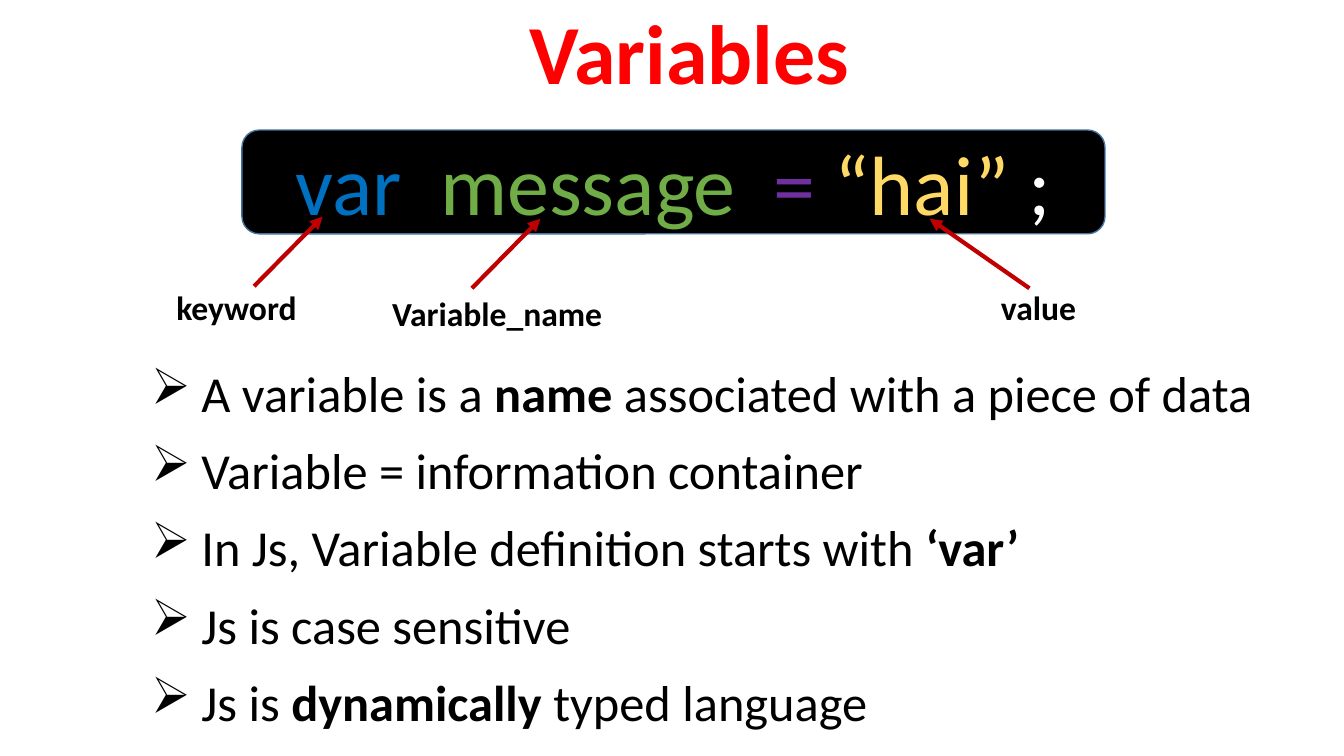
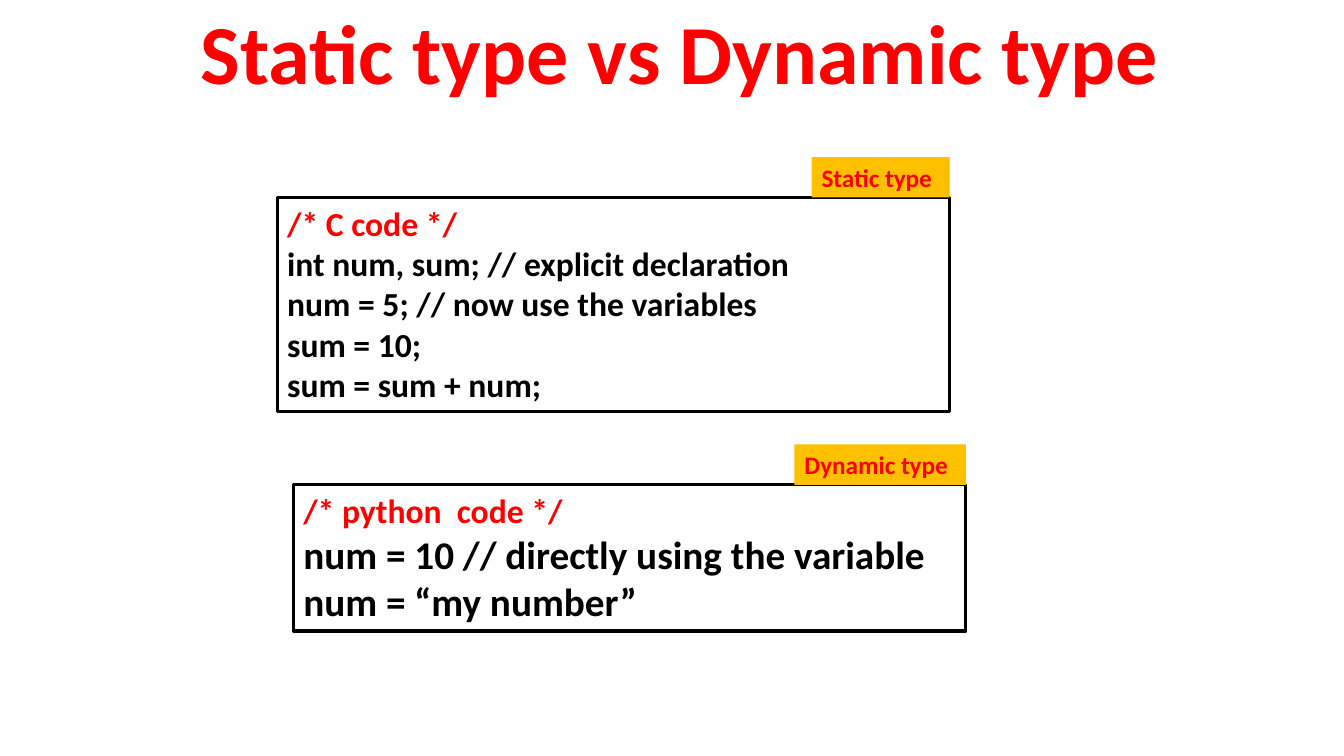
from lxml import etree
from pptx import Presentation
from pptx import util as u
from pptx.dml.color import RGBColor
from pptx.enum import shapes, text
from pptx.oxml.ns import qn

RED = RGBColor(0xFF, 0x00, 0x00)
BLACK = RGBColor(0x00, 0x00, 0x00)
WHITE = RGBColor(0xFF, 0xFF, 0xFF)
BLUE = RGBColor(0x00, 0x70, 0xC0)
GREEN = RGBColor(0x70, 0xAD, 0x47)
PURPLE = RGBColor(0x70, 0x30, 0xA0)
CREAM = RGBColor(0xFF, 0xD9, 0x66)
AMBER = RGBColor(0xFF, 0xC0, 0x00)
EDGE = RGBColor(0x43, 0x73, 0x9E)
ARROW = RGBColor(0xC0, 0x00, 0x00)
FONT = "Calibri"
RECT = shapes.MSO_SHAPE.RECTANGLE
ROUND = shapes.MSO_SHAPE.ROUNDED_RECTANGLE
MID = text.PP_ALIGN.CENTER

# Content: a line is a list of runs, a run is (words, changes of format)
TITLES = ["Variables", "Static type vs Dynamic type "]
STATE = [[("var", {"color": BLUE}), ("  message  ", {"color": GREEN}),
          ("= ", {"color": PURPLE}), ("“hai” ", {"color": CREAM}),
          (";", {"color": WHITE})]]
BOLD = {"bold": True}
FACTS = [
    [("A variable is a ", {}), ("name", BOLD), (" associated with a piece of data", {})],
    "Variable = information container",
    [("In Js, Variable definition starts with ", {}), ("‘var’", BOLD)],
    "Js is case sensitive",
    [("Js is ", {}), ("dynamically", BOLD), (" typed language", {})],
]
# Label, its box, arrow start, arrow end
PARTS = [
    ("keyword", (1.65, 2.8, 1.41, 0.5), (2.52, 2.84), (3.2, 2.15)),
    ("Variable_name", (3.79, 2.86, 2.31, 0.5), (4.68, 2.86), (5.36, 2.17)),
    ("value", (9.83, 2.8, 0.96, 0.5), (10.21, 2.86), (9.22, 2.17)),
]
# Tag, tag width, left, top, height, size of code, heading, code
CODES = [
    ("Static type", 1.37, 2.75, 1.96, 2.12, 24, "/* C code */",
     ["int num, sum; // explicit declaration", "num = 5; // now use the variables",
      "sum = 10;", "sum = sum + num;"]),
    ("Dynamic type", 1.7, 2.91, 4.81, 1.45, 28, "/* python  code */",
     ["num = 10 // directly using the variable", "num = “my number”"]),
]
CODE_W, TAG_H = 6.67, 0.4


def write(shape, lines, size=24, color=BLACK, bold=False, align=text.PP_ALIGN.LEFT,
          anchor=text.MSO_ANCHOR.TOP, wrap=True, grow=False, space=None, after=0,
          bullet=None):
    """Put lines of text into a shape; each run may change the format."""
    frame = shape.text_frame
    frame.word_wrap, frame.vertical_anchor = wrap, anchor
    if grow:
        frame.auto_size = text.MSO_AUTO_SIZE.SHAPE_TO_FIT_TEXT
    for i, line in enumerate(lines):
        para = frame.add_paragraph() if i else frame.paragraphs[0]
        para.alignment, para.space_after = align, u.Pt(after)
        if space:
            para.line_spacing = space
        if bullet:
            props = para._p.get_or_add_pPr()
            props.set("marL", str(u.Inches(0.5)))
            props.set("indent", str(u.Inches(-0.5)))
            etree.SubElement(props, qn("a:buChar")).set("char", bullet)
        for words, change in [(line, {})] if isinstance(line, str) else line:
            look = {"size": size, "color": color, "bold": bold, **change}
            run = para.add_run()
            run.text, run.font.name = words, FONT
            run.font.size, run.font.bold = u.Pt(look["size"]), look["bold"]
            run.font.color.rgb = look["color"]


def label(slide, area, lines, **look):
    write(slide.shapes.add_textbox(*map(u.Inches, area)), lines, **look)


def box(slide, kind, area, lines, fill=None, edge=None, width=1, **look):
    shape = slide.shapes.add_shape(kind, *map(u.Inches, area))
    shape.shadow.inherit = False
    if fill is None:
        shape.fill.background()
    else:
        shape.fill.solid()
        shape.fill.fore_color.rgb = fill
    if edge is None:
        shape.line.fill.background()
    else:
        shape.line.color.rgb, shape.line.width = edge, u.Pt(width)
    write(shape, lines, **look)


def arrow(slide, start, end):
    line = slide.shapes.add_connector(shapes.MSO_CONNECTOR.STRAIGHT,
                                      *map(u.Inches, start + end))
    line.line.color.rgb, line.line.width = ARROW, u.Pt(3)
    etree.SubElement(line.line._get_or_add_ln(), qn("a:tailEnd")).set("type", "triangle")
    etree.SubElement(line._element.spPr, qn("a:effectLst"))


def page(deck, title):
    slide = deck.slides.add_slide(deck.slide_layouts[6])
    label(slide, (0.89, 0.07, 11.89, 1.08), [title], size=60, color=RED, bold=True,
          align=MID, space=0.9)
    return slide


def main():
    deck = Presentation()
    deck.slide_width, deck.slide_height = u.Inches(13.33), u.Inches(7.5)

    # Variables: statement, facts, labelled arrows
    slide = page(deck, TITLES[0])
    box(slide, ROUND, (2.4, 1.29, 8.56, 1.03), STATE, fill=BLACK, edge=EDGE,
        size=60, align=MID, anchor=text.MSO_ANCHOR.MIDDLE)
    label(slide, (1.4, 3.54, 11.23, 4.58), FACTS, size=36, after=12, bullet="➢",
          wrap=False, grow=True)
    for name, area, start, end in PARTS:
        arrow(slide, start, end)
        label(slide, area, [name], bold=True, wrap=False, grow=True)

    # Types: code boxes, each with a tag on its top right corner
    slide = page(deck, TITLES[1])
    for tag, wide, left, top, high, size, head, code in CODES:
        box(slide, RECT, (left, top, CODE_W, high),
            [[(head, {"color": RED, "size": 24})], *code],
            edge=BLACK, width=2.25, size=size, bold=True, grow=True)
        box(slide, RECT, (left + CODE_W - wide, top - TAG_H, wide, TAG_H), [tag],
            fill=AMBER, size=18, color=RED, bold=True, wrap=False, grow=True)

    deck.save("out.pptx")


if __name__ == "__main__":
    main()
